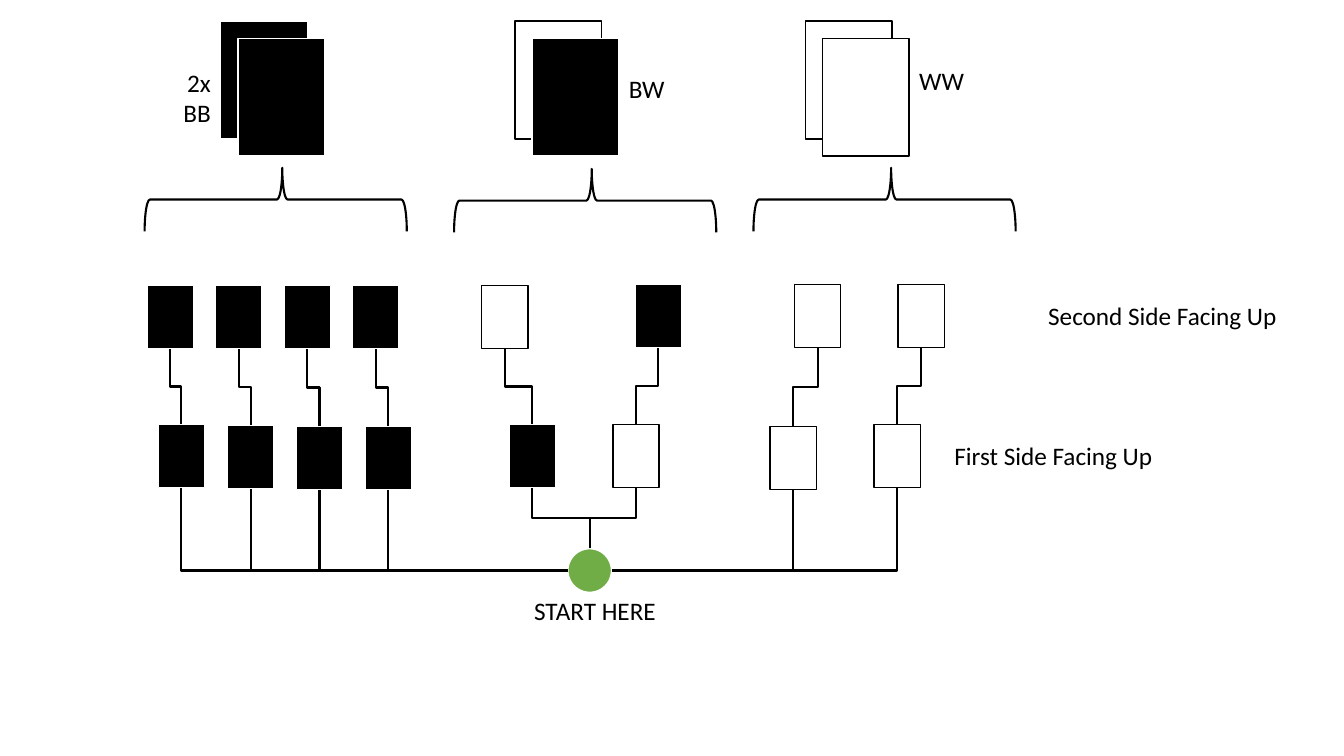
from lxml.etree import SubElement
from pptx import Presentation
from pptx.dml.color import RGBColor
from pptx.enum.shapes import MSO_CONNECTOR, MSO_SHAPE
from pptx.enum.text import MSO_AUTO_SIZE, PP_ALIGN
from pptx.oxml.ns import qn
from pptx.util import Inches, Pt

BLACK, WHITE, GREEN = "000000", "FFFFFF", "70AD47"
TOP, LEFT, BOTTOM, RIGHT = (0.5, 0), (0, 0.5), (0.5, 1), (1, 0.5)
RECT_SITES = {TOP: 0, LEFT: 1, BOTTOM: 2, RIGHT: 3}
OVAL_SITES = {TOP: 0, LEFT: 2, BOTTOM: 4, RIGHT: 6}


def color(value):
    return RGBColor.from_string(value)


class CardTree:
    font, size = "Calibri", 18
    columns, rows = 133.33, 75

    def __init__(self, prs):
        self.col = prs.slide_width / self.columns
        self.row = prs.slide_height / self.rows
        self.s = prs.slides.add_slide(prs.slide_layouts[6])

    def box(self, x, y, w, h):
        return [round(v) for v in (x * self.col, y * self.row, w * self.col, h * self.row)]

    def shape(self, kind, x, y, w, h, fill, line, weight=1, parent=None):
        sp = (parent or self.s).shapes.add_shape(kind, *self.box(x, y, w, h))
        sp.shadow.inherit = False
        if fill:
            sp.fill.solid()
            sp.fill.fore_color.rgb = color(fill)
        else:
            sp.fill.background()
        sp.line.color.rgb = color(line)
        sp.line.width = Pt(weight)
        return sp

    def card(self, x, y, fill, w=4.6, h=6.3, parent=None):
        line = WHITE if fill == BLACK else BLACK
        return self.shape(MSO_SHAPE.RECTANGLE, x, y, w, h, fill, line, parent=parent)

    def text(self, text, x, y, w, h=4, align=PP_ALIGN.LEFT, parent=None):
        tf = (parent or self.s).shapes.add_textbox(*self.box(x, y, w, h)).text_frame
        tf.word_wrap = True
        tf.auto_size = MSO_AUTO_SIZE.SHAPE_TO_FIT_TEXT
        p = tf.paragraphs[0]
        p.text = text
        p.alignment = align
        p.font.name, p.font.size = self.font, Pt(self.size)
        p.font.color.rgb = color(BLACK)

    def stack(self, x, back, front, label):
        group = self.s.shapes.add_group_shape()
        self.card(x, 2.1, back, 8.6, 11.7, group)
        self.card(x + 1.7, 3.8, front, 8.6, 11.7, group)
        self.text(*label, parent=group)

    def brace(self, x, y):
        sp = self.shape(MSO_SHAPE.LEFT_BRACE, x, y, 6.3, 26, None, BLACK, 1.5)
        sp.rotation = 90
        sp.adjustments[0], sp.adjustments[1] = 0.083, 0.475

    def connect(self, start, start_side, end, end_side):
        (x1, y1), (x2, y2) = [
            (sp.left + sp.width * fx, sp.top + sp.height * fy)
            for sp, (fx, fy) in ((start, start_side), (end, end_side))
        ]
        preset, rot = "bentConnector3", 0
        ends = (x1, y1, x2, y2)
        if start_side == TOP:
            cx, cy, w, h = (x1 + x2) / 2, (y1 + y2) / 2, (y1 - y2) / 2, abs(x2 - x1) / 2
            w, rot = (w, 90) if x2 > x1 else (-w, 270)
            ends = (cx + w, cy + h, cx - w, cy - h)
        else:
            preset = "bentConnector2"
            if start_side == LEFT:
                ends, rot = (x2, y2, x1, y1), 180
        c = self.s.shapes.add_connector(MSO_CONNECTOR.ELBOW, *[round(v) for v in ends])
        c.line.color.rgb = color(BLACK)
        c.line.width = Pt(1.5)
        spPr = c._element.spPr
        spPr.find(qn("a:prstGeom")).set("prst", preset)
        if rot:
            spPr.find(qn("a:xfrm")).set("rot", str(rot * 60000))
        SubElement(spPr, qn("a:effectLst"))
        glue = c._element.nvCxnSpPr.cNvCxnSpPr
        for tag, sp, side in (("a:stCxn", start, start_side), ("a:endCxn", end, end_side)):
            sites = OVAL_SITES if sp.auto_shape_type == MSO_SHAPE.OVAL else RECT_SITES
            SubElement(glue, qn(tag), id=str(sp.shape_id), idx=str(sites[side]))


def main():
    prs = Presentation()
    prs.slide_width, prs.slide_height = Inches(13.33), Inches(7.5)
    tree = CardTree(prs)

    tree.stack(21.9, BLACK, BLACK, ("2xBB", 16.5, 6.2, 5.4, 7.1, PP_ALIGN.RIGHT))
    tree.stack(79.9, None, WHITE, ("WW", 90.2, 6, 8.6))
    tree.stack(51.1, None, BLACK, ("BW", 61.4, 6.8, 7.5))
    for x, y in ((24.2, 6.8), (54.9, 6.9), (84.6, 6.8)):
        tree.brace(x, y)

    start = tree.shape(MSO_SHAPE.OVAL, 56.3, 54.4, 4.4, 4.4, GREEN, WHITE, 1.5)
    branches = [
        (LEFT, (15.7, 42.1, BLACK), (14.6, 28.3, BLACK)),
        (LEFT, (22.6, 42.2, BLACK), (21.4, 28.3, BLACK)),
        (LEFT, (29.4, 42.3, BLACK), (28.2, 28.3, BLACK)),
        (LEFT, (36.2, 42.3, BLACK), (35, 28.3, BLACK)),
        (TOP, (50.5, 42.1, BLACK), (47.8, 28.3, WHITE)),
        (TOP, (60.8, 42.1, WHITE), (63, 28.2, BLACK)),
        (RIGHT, (76.4, 42.3, WHITE), (78.8, 28.2, WHITE)),
        (RIGHT, (86.7, 42.1, WHITE), (89.1, 28.2, WHITE)),
    ]
    for side, first, second in branches:
        first_card, second_card = tree.card(*first), tree.card(*second)
        tree.connect(start, side, first_card, BOTTOM)
        tree.connect(first_card, TOP, second_card, BOTTOM)

    tree.text("START HERE", 52, 58.6, 14.4)
    tree.text("First Side Facing Up", 93.7, 43.2, 28.3)
    tree.text("Second Side Facing Up", 103, 29.3, 28.3)
    prs.save("out.pptx")


if __name__ == "__main__":
    main()
